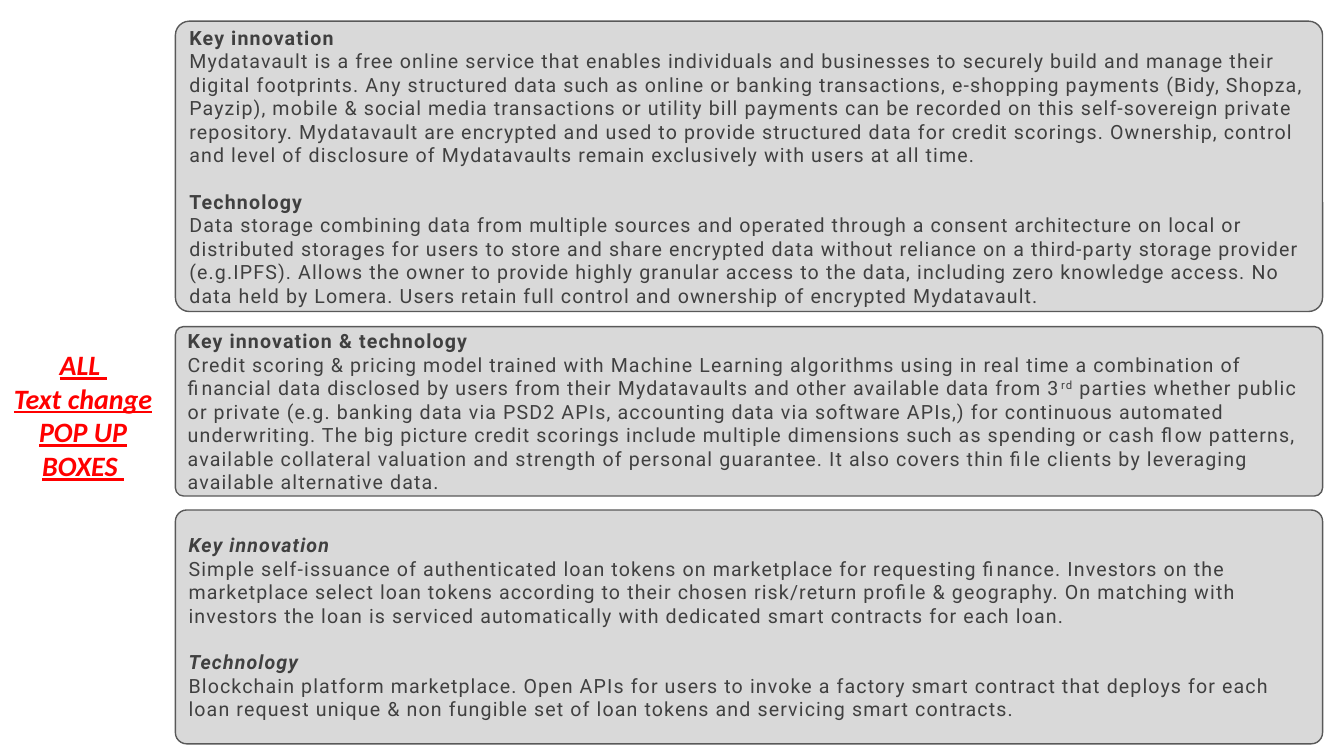
from pptx import Presentation
from pptx.dml.color import RGBColor
from pptx.enum.shapes import MSO_SHAPE
from pptx.enum.text import MSO_ANCHOR, PP_ALIGN
from pptx.util import Pt

BOX_LEFT, BOX_WIDTH = 125.3, 819.4
SECTION_GAP = 16.4

# Each box: top, height, italic headings, sections of (heading, body runs)
BOXES = [
    (15.1, 207.4, False, [
        ("Key innovation", [
            "Mydatavault is a free online service that enables individuals and businesses to "
            "securely build and manage their digital footprints. Any structured data such as "
            "online or banking transactions, e-shopping payments (Bidy, Shopza, Payzip), mobile & "
            "social media transactions or utility bill payments can be recorded on this "
            "self-sovereign private repository. Mydatavault are encrypted and used to provide "
            "structured data for credit scorings. Ownership, control and level of disclosure of "
            "Mydatavaults remain exclusively with users at all time."]),
        ("Technology", [
            "Data storage combining data from multiple sources and operated through a consent "
            "architecture on local or distributed storages for users to store and share encrypted "
            "data without reliance on a third-party storage provider (e.g.IPFS). Allows the owner "
            "to provide highly granular access to the data, including zero knowledge access. No "
            "data held by Lomera. Users retain full control and ownership of encrypted "
            "Mydatavault."]),
    ]),
    (233.3, 121, False, [
        ("Key innovation & technology", [
            "Credit scoring & pricing model trained with Machine Learning algorithms using in real "
            "time a combination of financial data disclosed by users from their Mydatavaults and "
            "other available data from 3",
            "rd",
            " parties whether public or private (e.g. banking data via PSD2 APIs, accounting data "
            "via software APIs,) for continuous automated underwriting. The big picture credit "
            "scorings include multiple dimensions such as spending or cash flow patterns, available "
            "collateral valuation and strength of personal guarantee. It also covers thin file "
            "clients by leveraging available alternative data."]),
    ]),
    (364.3, 167, True, [
        ("Key innovation", [
            "Simple self-issuance of authenticated loan tokens on marketplace for requesting "
            "finance. Investors on the marketplace select loan tokens according to their chosen "
            "risk/return profile & geography. On matching with investors the loan is serviced "
            "automatically with dedicated smart contracts for each loan."]),
        ("Technology", [
            "Blockchain platform marketplace. Open APIs for users to invoke a factory smart "
            "contract that deploys for each loan request unique & non fungible set of loan tokens "
            "and servicing smart contracts."]),
    ]),
]


def color(value):
    return RGBColor.from_string(value)


def add_text(paragraph, text, font="Roboto", size=14, fill="404040", bold=False,
             italic=False, underline=False, spacing=0.8, baseline=0):
    run = paragraph.add_run()
    run.text = text
    run.font.name = font
    run.font.size = Pt(size)
    run.font.color.rgb = color(fill)
    run.font.bold = bold
    run.font.italic = italic
    run.font.underline = underline
    properties = run.font._element
    properties.set("spc", str(round(spacing * 100)))
    if baseline:
        properties.set("baseline", str(baseline * 1000))


def next_paragraph(frame, first, align):
    paragraph = frame.paragraphs[0] if first else frame.add_paragraph()
    paragraph.alignment = align
    return paragraph


def add_box(slide, top, height, italic, sections):
    shape = slide.shapes.add_shape(MSO_SHAPE.ROUNDED_RECTANGLE, Pt(BOX_LEFT), Pt(top),
                                   Pt(BOX_WIDTH), Pt(height))
    shape.adjustments[0] = 0.048
    shape.shadow.inherit = False
    shape.fill.solid()
    shape.fill.fore_color.rgb = color("D9D9D9")
    shape.line.color.rgb = color("595959")
    shape.line.width = Pt(1)
    frame = shape.text_frame
    frame.word_wrap = True
    frame.vertical_anchor = MSO_ANCHOR.MIDDLE

    for index, (heading, body) in enumerate(sections):
        paragraph = next_paragraph(frame, index == 0, PP_ALIGN.LEFT)
        if index:
            paragraph.space_before = Pt(SECTION_GAP)
        add_text(paragraph, heading, bold=True, italic=italic)
        paragraph = next_paragraph(frame, False, PP_ALIGN.LEFT)
        for text in body:
            add_text(paragraph, text, baseline=30 if text == "rd" else 0)


def add_side_note(slide, lines):
    shape = slide.shapes.add_textbox(Pt(1.4), Pt(244.8), Pt(116), Pt(104.4))
    frame = shape.text_frame
    frame.word_wrap = True
    for index, line in enumerate(lines):
        paragraph = next_paragraph(frame, index == 0, PP_ALIGN.CENTER)
        add_text(paragraph, line, font="Calibri", size=20, fill="FF0000", bold=True,
                 italic=True, underline=True, spacing=0)


def main():
    presentation = Presentation()
    presentation.slide_width, presentation.slide_height = Pt(960), Pt(540)
    slide = presentation.slides.add_slide(presentation.slide_layouts[6])

    # Description boxes
    for box in BOXES:
        add_box(slide, *box)

    # Red note on the left
    add_side_note(slide, ["ALL ", "Text change POP UP BOXES "])

    presentation.save("out.pptx")


if __name__ == "__main__":
    main()
